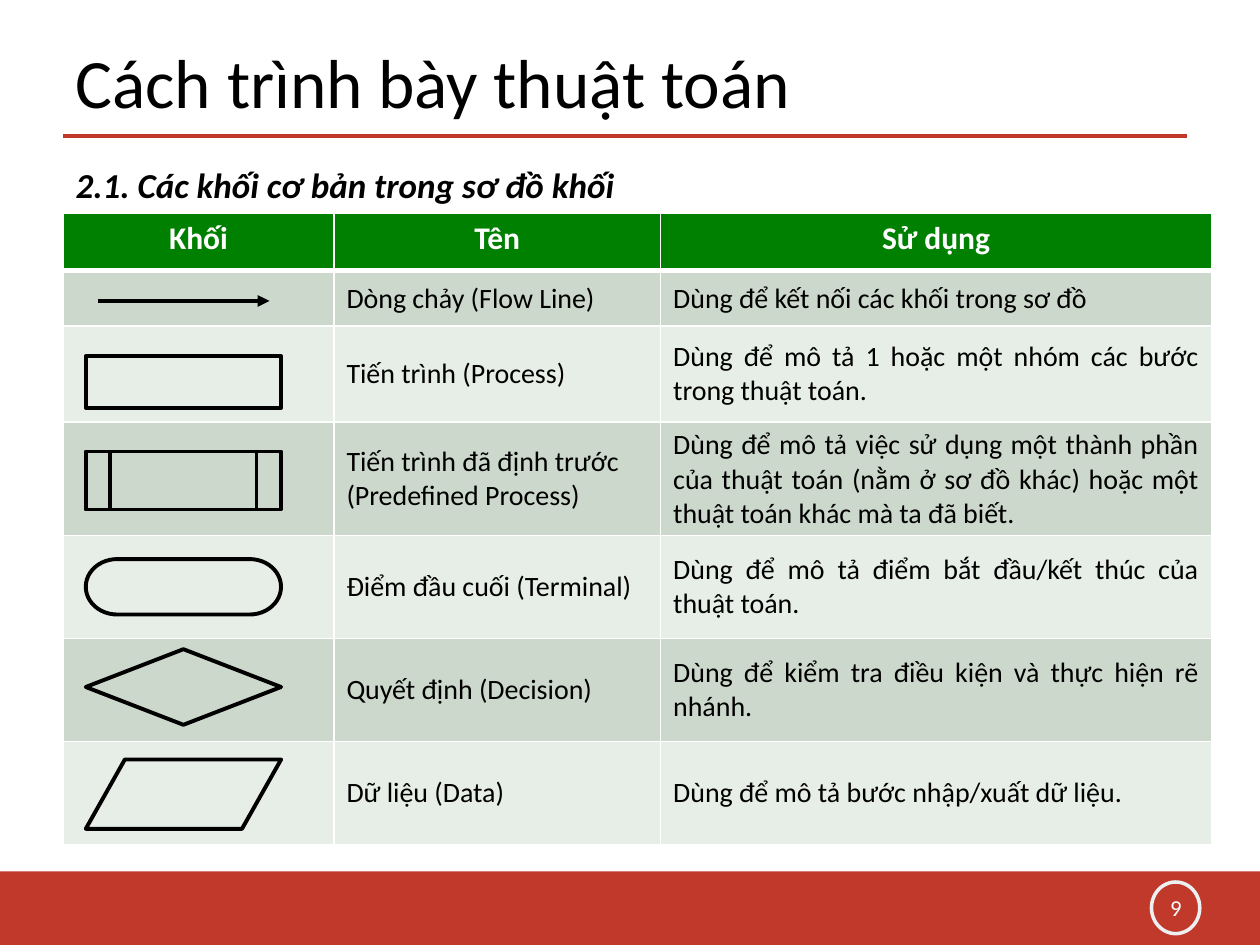
"""Build the slide on the basic flowchart blocks."""
from lxml.etree import SubElement
from pptx import Presentation
from pptx.dml.color import RGBColor
from pptx.enum.shapes import MSO_CONNECTOR as LINK, MSO_SHAPE as FORM
from pptx.enum.text import MSO_ANCHOR as ANCHOR, MSO_AUTO_SIZE as FIT, PP_ALIGN as ALIGN
from pptx.oxml.ns import qn
from pptx.util import Pt

FONT = "Calibri"
BLACK, WHITE, RED, PALE = "000000", "FFFFFF", "C0392B", "ECF0F1"
GREEN, BANDS = "008000", ("CCD8CC", "E7EDE7")
TITLE = "Cách trình bày thuật toán"
LEAD = "2.1. Các khối cơ bản trong sơ đồ khối"
HEADS = ("Khối", "Tên", "Sử dụng")
ROWS = [
    ("Dòng chảy (Flow Line)", "Dùng để kết nối các khối trong sơ đồ"),
    ("Tiến trình (Process)",
     "Dùng để mô tả 1 hoặc một nhóm các bước trong thuật toán."),
    ("Tiến trình đã định trước (Predefined Process)",
     "Dùng để mô tả việc sử dụng một thành phần của thuật toán "
     "(nằm ở sơ đồ khác) hoặc một thuật toán khác mà ta đã biết."),
    ("Điểm đầu cuối (Terminal)",
     "Dùng để mô tả điểm bắt đầu/kết thúc của thuật toán."),
    ("Quyết định (Decision)",
     "Dùng để kiểm tra điều kiện và thực hiện rẽ nhánh."),
    ("Dữ liệu (Data)", "Dùng để mô tả bước nhập/xuất dữ liệu."),
]
WIDES = (154.8, 186.7, 314.8)
TALLS = (33, 31.7, 54.7, 54.7, 59, 59, 59)
BLOCKS = [
    (FORM.FLOWCHART_PROCESS, 203.5, 29.5, 2.25),
    (FORM.FLOWCHART_PREDEFINED_PROCESS, 257.9, 33.3, 2),
    (FORM.FLOWCHART_TERMINATOR, 319.5, 31.7, 2.25),
    (FORM.FLOWCHART_DECISION, 371, 43.2, 2.25),
    (FORM.FLOWCHART_DATA, 434, 39.6, 2.25),
]


def tint(code):
    return RGBColor.from_string(code)


def place(shape, *box):
    shape.left, shape.top, shape.width, shape.height = map(Pt, box)


def write(frame, text, size, color=BLACK, align=ALIGN.LEFT, bold=False, slant=False):
    para = frame.paragraphs[0]
    para.alignment = align
    run = para.add_run()
    run.text = text
    font = run.font
    font.name, font.size, font.bold, font.italic = FONT, Pt(size), bold, slant
    font.color.rgb = tint(color)
    return para


def draw(slide, form, box, fill=None, line=None, width=0):
    shape = slide.shapes.add_shape(form, *map(Pt, box))
    shape.shadow.inherit = False
    if fill:
        shape.fill.solid()
        shape.fill.fore_color.rgb = tint(fill)
    else:
        shape.fill.background()
    if line:
        shape.line.color.rgb = tint(line)
        shape.line.width = Pt(width)
    else:
        shape.line.fill.background()


def link(slide, ends, color, arrow=False):
    line = slide.shapes.add_connector(LINK.STRAIGHT, *map(Pt, ends))
    line.line.color.rgb = tint(color)
    line.line.width = Pt(2.25)
    if arrow:
        SubElement(line.line._get_or_add_ln(), qn("a:tailEnd"), type="triangle")
    SubElement(line._element.spPr, qn("a:effectLst"))


def paint(cell, fill, top, base):
    props = cell._tc.get_or_add_tcPr()
    for side, width in zip("LRTB", (1, 1, top, base)):
        edge = SubElement(props, qn(f"a:ln{side}"), w=str(Pt(width)))
        SubElement(SubElement(edge, qn("a:solidFill")), qn("a:srgbClr"), val=WHITE)
    cell.fill.solid()
    cell.fill.fore_color.rgb = tint(fill)


def add_grid(slide):
    grid = slide.shapes.add_table(
        len(TALLS), len(WIDES), Pt(36), Pt(121.7), Pt(sum(WIDES)), Pt(sum(TALLS))).table
    for col, wide in zip(grid.columns, WIDES):
        col.width = Pt(wide)
    for row, tall in zip(grid.rows, TALLS):
        row.height = Pt(tall)
    for c, head in enumerate(HEADS):
        cell = grid.cell(0, c)
        paint(cell, GREEN, 1, 3)
        write(cell.text_frame, head, 18, WHITE, ALIGN.CENTER, True)
    for r, texts in enumerate(ROWS, 1):
        for c, text in enumerate(("",) + texts):
            cell = grid.cell(r, c)
            paint(cell, BANDS[(r - 1) % 2], 3 if r == 1 else 1, 1)
            cell.vertical_anchor = ANCHOR.MIDDLE
            if text:
                write(cell.text_frame, text, 16,
                      align=ALIGN.JUSTIFY if c == 2 else ALIGN.LEFT)


def main():
    deck = Presentation()
    deck.slide_width, deck.slide_height = Pt(720), Pt(540)
    slide = deck.slides.add_slide(deck.slide_layouts[1])
    link(slide, (36, 77.8, 678.2, 77.8), RED)
    draw(slide, FORM.RECTANGLE, (0, 498, 720, 42), RED)
    draw(slide, FORM.OVAL, (658, 504, 27.6, 29.5), None, PALE, 2)

    page = slide.shapes.add_textbox(Pt(654), Pt(507), Pt(36), Pt(23)).text_frame
    page.word_wrap = True
    page.vertical_anchor = ANCHOR.MIDDLE
    write(page, "9", 13, "FAFCFC", ALIGN.CENTER)

    title, body = slide.placeholders
    place(title, 36, 21.6, 576, 49.7)
    title.text_frame.auto_size = FIT.NONE
    title.text_frame.vertical_anchor = ANCHOR.MIDDLE
    write(title.text_frame, TITLE, 39.6)

    place(body, 36, 90, 648, 31.7)
    body.text_frame.auto_size = FIT.NONE
    para = write(body.text_frame, LEAD, 20, BLACK, ALIGN.JUSTIFY, True, True)
    para.space_before = Pt(4)
    props = para._p.get_or_add_pPr()
    props.set("marL", "0")
    props.set("indent", "0")
    SubElement(props, qn("a:buNone"))

    add_grid(slide)
    link(slide, (56, 172, 154, 172), BLACK, True)
    for form, top, tall, width in BLOCKS:
        draw(slide, form, (49, top, 111.6, tall), None, BLACK, width)
    deck.save("out.pptx")


if __name__ == "__main__":
    main()
